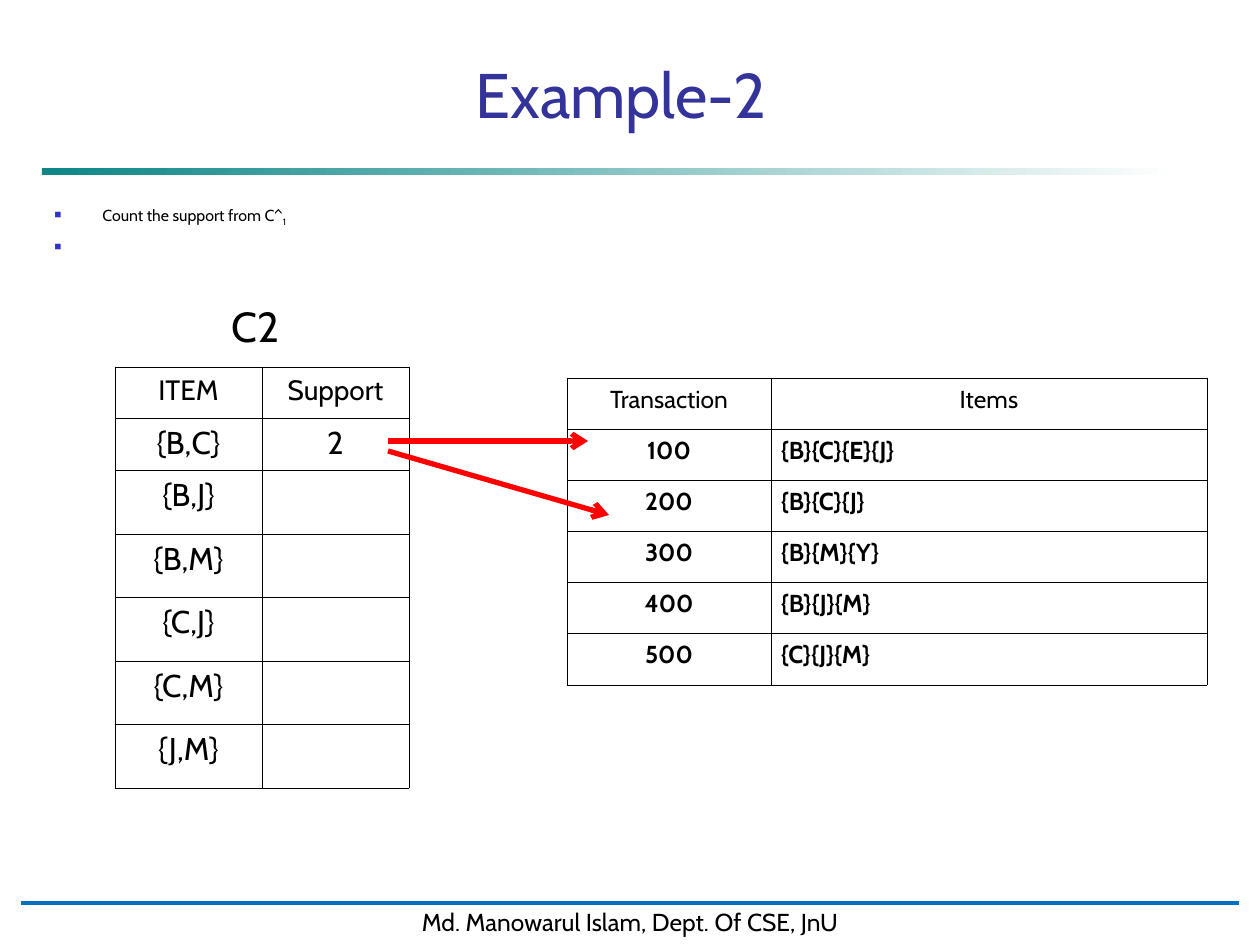
import pptx
import pptx.dml.color
import pptx.enum.dml
import pptx.enum.shapes
import pptx.enum.text
import pptx.oxml
import pptx.oxml.ns
import pptx.oxml.xmlchemy
import pptx.util

BLACK = pptx.dml.color.RGBColor(0, 0, 0)
WHITE = pptx.dml.color.RGBColor(255, 255, 255)
TEAL = pptx.dml.color.RGBColor(0, 128, 128)
INDIGO = pptx.dml.color.RGBColor(0x33, 0x33, 0x99)
BULLET = pptx.dml.color.RGBColor(0x33, 0x33, 0xCC)
BLUE = pptx.dml.color.RGBColor(0, 0x70, 0xC0)
RED = pptx.dml.color.RGBColor(255, 0, 0)
FONT = "Cabin"
PX = 914400 / 126
CENTER = pptx.enum.text.PP_ALIGN.CENTER
LEFT = pptx.enum.text.PP_ALIGN.LEFT

SUPPORT_ROWS = [("ITEM", "Support"), ("{B,C}", "2"), ("{B,J}", ""), ("{B,M}", ""),
                ("{C,J}", ""), ("{C,M}", ""), ("{J,M}", "")]
TRANSACTION_ROWS = [("Transaction", "Items"), ("100", "{B}{C}{E}{J}"), ("200", "{B}{C}{J}"),
                    ("300", "{B}{M}{Y}"), ("400", "{B}{J}{M}"), ("500", "{C}{J}{M}")]


def px(*lengths):
    """Turn pixel lengths into a list of EMU lengths."""
    return [pptx.util.Emu(round(length * PX)) for length in lengths]


def add_xml(parent, tag, **attributes):
    """Append a DrawingML child element with the given attributes."""
    child = pptx.oxml.xmlchemy.OxmlElement(tag)
    for name, value in attributes.items():
        child.set(name, str(value))
    parent.append(child)
    return child


def style_paragraph(para, size, color=BLACK, align=LEFT, bold=False):
    """Give a paragraph its alignment and font."""
    para.alignment = align
    para.font.name = FONT
    para.font.size = pptx.util.Pt(size)
    para.font.color.rgb = color
    para.font.bold = bold


def add_label(page, box, text, size, color=BLACK, align=LEFT, wrap=True,
              anchor=pptx.enum.text.MSO_ANCHOR.TOP):
    """Place one line of text in a box."""
    frame = page.shapes.add_textbox(*px(*box)).text_frame
    frame.word_wrap = wrap
    frame.vertical_anchor = anchor
    frame.text = text
    style_paragraph(frame.paragraphs[0], size, color, align)


def add_line(page, start, end, color, width, arrow=False):
    """Draw a straight line, with an arrowhead at its end if asked."""
    line = page.shapes.add_connector(
        pptx.enum.shapes.MSO_CONNECTOR.STRAIGHT, *px(*start, *end))
    line.line.color.rgb = color
    line.line.width = pptx.util.Pt(width)
    if arrow:
        add_xml(line.line._get_or_add_ln(), "a:tailEnd", type="arrow")
    add_xml(line._element.spPr, "a:effectLst")


def add_rectangle(page, box):
    """Add a rectangle without shadow."""
    shape = page.shapes.add_shape(pptx.enum.shapes.MSO_SHAPE.RECTANGLE, *px(*box))
    shape.shadow.inherit = False
    return shape


def add_header(page, box):
    """Place the title and the fading rule at the foot of the box."""
    left, top, width, height = box
    rule = add_rectangle(page, (left, top + height - 7, width, 7))
    rule.line.fill.background()
    rule.fill.gradient()
    rule.fill.gradient_angle = 0
    for stop, color in zip(rule.fill.gradient_stops, (TEAL, WHITE)):
        stop.color.rgb = color
    for color_element in rule._element.spPr.iter(pptx.oxml.ns.qn("a:srgbClr")):
        add_xml(color_element, "a:alpha", val=95000)
    add_label(page, (left + 42, top, width - 60, 84), "Example-2", 36, INDIGO, CENTER,
              anchor=pptx.enum.text.MSO_ANCHOR.BOTTOM)


def add_bullets(page, box):
    """Place the bulleted task."""
    frame = page.shapes.add_textbox(*px(*box)).text_frame
    frame.word_wrap = True
    task, following = frame.paragraphs[0], frame.add_paragraph()
    for para in (task, following):
        properties = para._p.get_or_add_pPr()
        indent = px(48)[0]
        properties.set("marL", str(indent))
        properties.set("indent", str(-indent))
        add_xml(add_xml(properties, "a:buClr"), "a:srgbClr", val=BULLET)
        add_xml(properties, "a:buSzPct", val=60000)
        add_xml(properties, "a:buChar", char="■")
        style_paragraph(para, 9.1)
    task.add_run().text = "Count the support from C^"
    subscript = task.add_run()
    subscript.text = "1"
    subscript.font._element.set("baseline", "-25000")
    following.space_before = pptx.util.Pt(7)
    following.add_run().text = " "


def add_grid(page, box, rows, widths, heights, header_size, body_size, margin=13,
             body_bold=False, last_align=CENTER):
    """Place a bordered table with a header row."""
    table = page.shapes.add_table(len(rows), len(widths), *px(*box)).table
    table.first_row = table.horz_banding = False
    for column, width in zip(table.columns, px(*widths)):
        column.width = width
    for row, height in zip(table.rows, px(*heights)):
        row.height = height
    for row_index, row in enumerate(rows):
        header = row_index == 0
        for column_index, text in enumerate(row):
            cell = table.cell(row_index, column_index)
            cell.margin_left = cell.margin_right = px(13 if header else margin)[0]
            for side in ("a:lnL", "a:lnR", "a:lnT", "a:lnB"):
                border = add_xml(cell._tc.get_or_add_tcPr(), side, w=5715)
                add_xml(add_xml(border, "a:solidFill"), "a:srgbClr", val=BLACK)
            cell.fill.background()
            cell.text = text
            align = CENTER if header or column_index == 0 else last_align
            style_paragraph(cell.text_frame.paragraphs[0],
                            header_size if header else body_size,
                            align=align, bold=body_bold and not header)


def add_support(page, box):
    """Place the candidate heading and its support table."""
    left, top, width, height = box
    add_grid(page, (left, top + 73, width, height - 73), SUPPORT_ROWS, (147, 147),
             (51, 52, 64, 63, 64, 63, 64), 16, 18)
    add_label(page, (left + 104, top, 76, 63), "C2", 24, wrap=False)


def add_transactions(page, box):
    """Place the transaction table."""
    add_grid(page, box, TRANSACTION_ROWS, (204, 436), [box[3] / 6] * 6, 14, 14,
             margin=10, body_bold=True, last_align=LEFT)


def add_footer(page, box):
    """Place the author line under its blue rule."""
    left, top, width, height = box
    band = add_rectangle(page, box)
    band.fill.solid()
    band.fill.fore_color.rgb = WHITE
    band.line.color.rgb = WHITE
    band.line.width = pptx.util.Pt(2)
    frame = band.text_frame
    frame.word_wrap = False
    frame.vertical_anchor = pptx.enum.text.MSO_ANCHOR.TOP
    frame.text = "Md. Manowarul Islam, Dept. Of CSE, JnU"
    style_paragraph(frame.paragraphs[0], 14, align=CENTER)
    add_line(page, (left, top + 2), (left + width, top + 2), BLUE, 1.75)


def main():
    """Build the slide and save it."""
    deck = pptx.Presentation()
    deck.slide_width, deck.slide_height = px(1260, 945)
    page = deck.slides.add_slide(deck.slide_layouts[6])
    add_footer(page, (21, 901, 1218, 42))
    add_header(page, (42, 53, 1134, 122))
    add_bullets(page, (42, 199, 1155, 63))
    add_support(page, (115, 294, 294, 494))
    add_transactions(page, (567, 378, 640, 307))
    add_line(page, (388, 441), (588, 441), RED, 3, arrow=True)
    add_line(page, (388, 451), (609, 515), RED, 3, arrow=True)
    deck.save("out.pptx")


if __name__ == "__main__":
    main()
